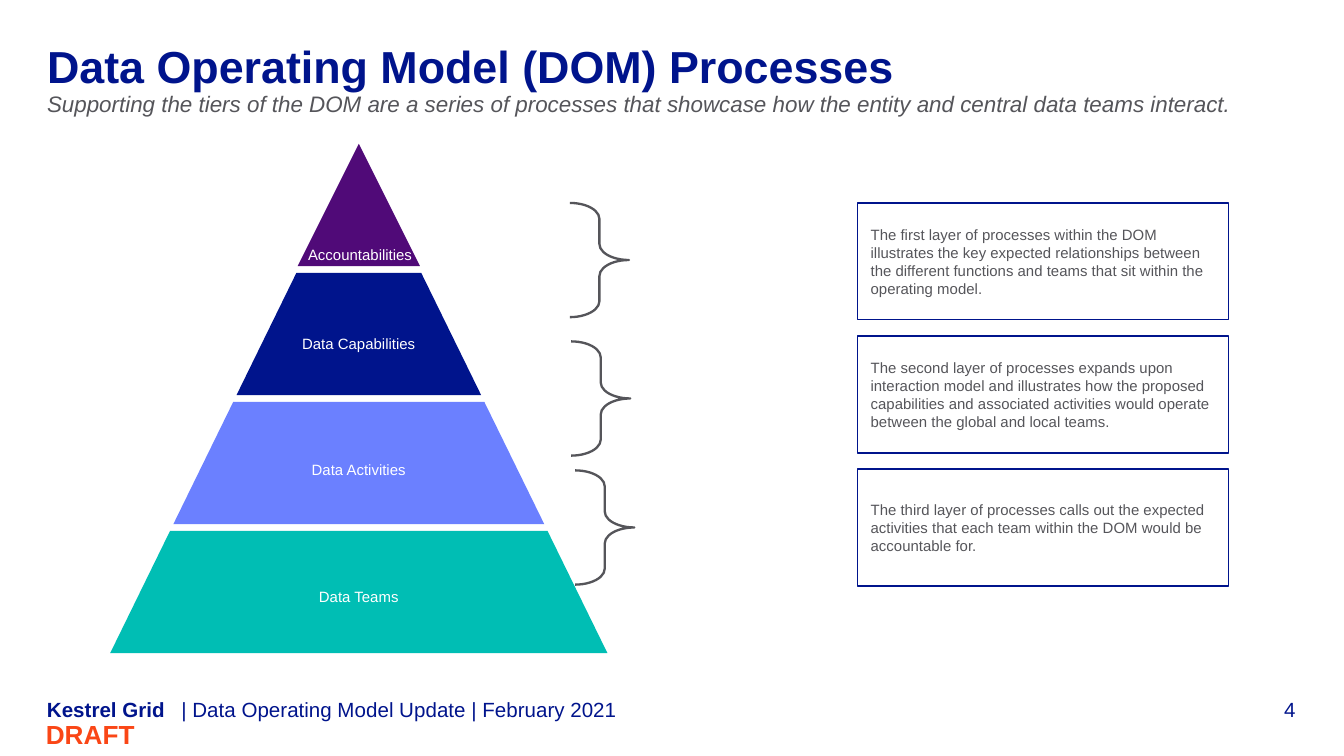
"""Build the Data Operating Model processes slide."""
from dataclasses import dataclass

import pptx
import pptx.dml.color
import pptx.enum.shapes
import pptx.enum.text
import pptx.util

Inches = pptx.util.Inches
Pt = pptx.util.Pt
RGBColor = pptx.dml.color.RGBColor
Shape = pptx.enum.shapes.MSO_SHAPE
Align = pptx.enum.text.PP_ALIGN
Anchor = pptx.enum.text.MSO_ANCHOR

NAVY = RGBColor(0x00, 0x14, 0x8C)
PURPLE = RGBColor(0x50, 0x0A, 0x78)
PERIWINKLE = RGBColor(0x6B, 0x80, 0xFF)
TEAL = RGBColor(0x00, 0xBE, 0xB4)
GREY = RGBColor(0x55, 0x55, 0x5A)
ORANGE = RGBColor(0xFA, 0x46, 0x16)
WHITE = RGBColor(0xFF, 0xFF, 0xFF)


@dataclass(frozen=True)
class Area:
    left: float
    top: float
    width: float
    height: float

    def lengths(self) -> tuple:
        return tuple(map(Inches, (self.left, self.top, self.width, self.height)))


@dataclass(frozen=True)
class Style:
    size: float
    color: RGBColor
    bold: bool = False
    italic: bool = False
    align: Align = Align.LEFT
    anchor: Anchor = Anchor.MIDDLE
    after: float = 0
    inset: tuple[float, float] = (0, 0)


@dataclass(frozen=True)
class Label:
    text: str
    area: Area
    style: Style


@dataclass(frozen=True)
class Tier:
    text: str
    color: RGBColor
    width: float


@dataclass(frozen=True)
class Layer:
    text: str
    brace_left: float
    brace_top: float


PADDING = (0.1, 0.05)
TIER_STYLE = Style(8, WHITE, align=Align.CENTER, after=4.5, inset=PADDING)
LAYER_STYLE = Style(8, GREY, after=4.5, inset=PADDING)

TIERS = [
    Tier("", PURPLE, 0.91),
    Tier("Data Capabilities", NAVY, 1.82),
    Tier("Data Activities", PERIWINKLE, 2.76),
    Tier("Data Teams", TEAL, 3.7),
]
LAYERS = [
    Layer("The first layer of processes within the DOM illustrates the key expected "
          "relationships between the different functions and teams that sit within "
          "the operating model.", 4.24, 1.51),
    Layer("The second layer of processes expands upon interaction model and illustrates "
          "how the proposed capabilities and associated activities would operate between "
          "the global and local teams.", 4.25, 2.54),
    Layer("The third layer of processes calls out the expected activities that each team "
          "within the DOM would be accountable for.", 4.28, 3.5),
]
LABELS = [
    Label("Data Operating Model (DOM) Processes", Area(0.35, 0.29, 9.29, 0.47),
          Style(24, NAVY, bold=True, anchor=Anchor.TOP)),
    Label("Supporting the tiers of the DOM are a series of processes that showcase how the "
          "entity and central data teams interact.", Area(0.35, 0.62, 9.49, 0.3),
          Style(12, GREY, italic=True, anchor=Anchor.TOP, after=6, inset=(0, 0.05))),
    Label("Accountabilities", Area(2.21, 1.83, 0.94, 0.13),
          Style(8, WHITE, align=Align.CENTER)),
    Label("Kestrel Grid", Area(0.35, 5.18, 1, 0.19),
          Style(11, NAVY, bold=True, anchor=Anchor.BOTTOM)),
    Label("| Data Operating Model Update | February 2021", Area(1.35, 5.18, 7.87, 0.19),
          Style(11, NAVY, anchor=Anchor.BOTTOM, after=6)),
    Label("4", Area(9.06, 5.18, 0.58, 0.19),
          Style(11, NAVY, align=Align.RIGHT, anchor=Anchor.BOTTOM)),
    Label("DRAFT", Area(0.02, 5.3, 1.08, 0.33),
          Style(14, ORANGE, bold=True, align=Align.RIGHT, after=4.5, inset=PADDING)),
]


def apply(target: object, values: dict) -> None:
    for name, value in values.items():
        setattr(target, name, value)


def write(box: pptx.shapes.base.BaseShape, text: str, style: Style) -> None:
    across, down = map(Inches, style.inset)
    frame = box.text_frame
    apply(frame, {"word_wrap": True, "vertical_anchor": style.anchor,
                  "margin_left": across, "margin_right": across,
                  "margin_top": down, "margin_bottom": down})
    para = frame.paragraphs[0]
    apply(para, {"alignment": style.align, "space_after": Pt(style.after)})
    span = para.add_run()
    span.text = text
    apply(span.font, {"name": "Arial", "size": Pt(style.size),
                      "bold": style.bold, "italic": style.italic})
    span.font.color.rgb = style.color


def draw_shape(page: pptx.slide.Slide, kind: Shape, area: Area, fill: RGBColor,
               line: RGBColor | None = None,
               weight: float = 0.75) -> pptx.shapes.base.BaseShape:
    shape = page.shapes.add_shape(kind, *area.lengths())
    shape.shadow.inherit = False
    shape.fill.solid()
    shape.fill.fore_color.rgb = fill
    if line is None:
        shape.line.fill.background()
    else:
        shape.line.color.rgb = line
        shape.line.width = Pt(weight)
    return shape


def draw_tier(page: pptx.slide.Slide, index: int, tier: Tier) -> None:
    area = Area(2.67 - tier.width / 2, 1.07 + 0.96 * index, tier.width, 0.91)
    shape = draw_shape(page, Shape.TRAPEZOID if index else Shape.ISOSCELES_TRIANGLE,
                       area, tier.color)
    if tier.text:
        shape.adjustments[0] = 0.49
        write(shape, tier.text, TIER_STYLE)


def draw_layer(page: pptx.slide.Slide, index: int, layer: Layer) -> None:
    box = draw_shape(page, Shape.RECTANGLE, Area(6.38, 1.51 + 0.99 * index, 2.76, 0.87),
                     WHITE, NAVY)
    write(box, layer.text, LAYER_STYLE)
    brace = draw_shape(page, Shape.RIGHT_BRACE,
                       Area(layer.brace_left, layer.brace_top, 0.44, 0.85),
                       WHITE, GREY, 1.25)
    brace.adjustments[0] = 0.27


def draw_label(page: pptx.slide.Slide, label: Label) -> None:
    write(page.shapes.add_textbox(*label.area.lengths()), label.text, label.style)


def main() -> None:
    deck = pptx.Presentation()
    width = Inches(10)
    apply(deck, {"slide_width": width, "slide_height": width * 9 // 16})
    page = deck.slides.add_slide(deck.slide_layouts[6])
    for index, tier in enumerate(TIERS):
        draw_tier(page, index, tier)
    for index, layer in enumerate(LAYERS):
        draw_layer(page, index, layer)
    for label in LABELS:
        draw_label(page, label)
    deck.save("out.pptx")


if __name__ == "__main__":
    main()
